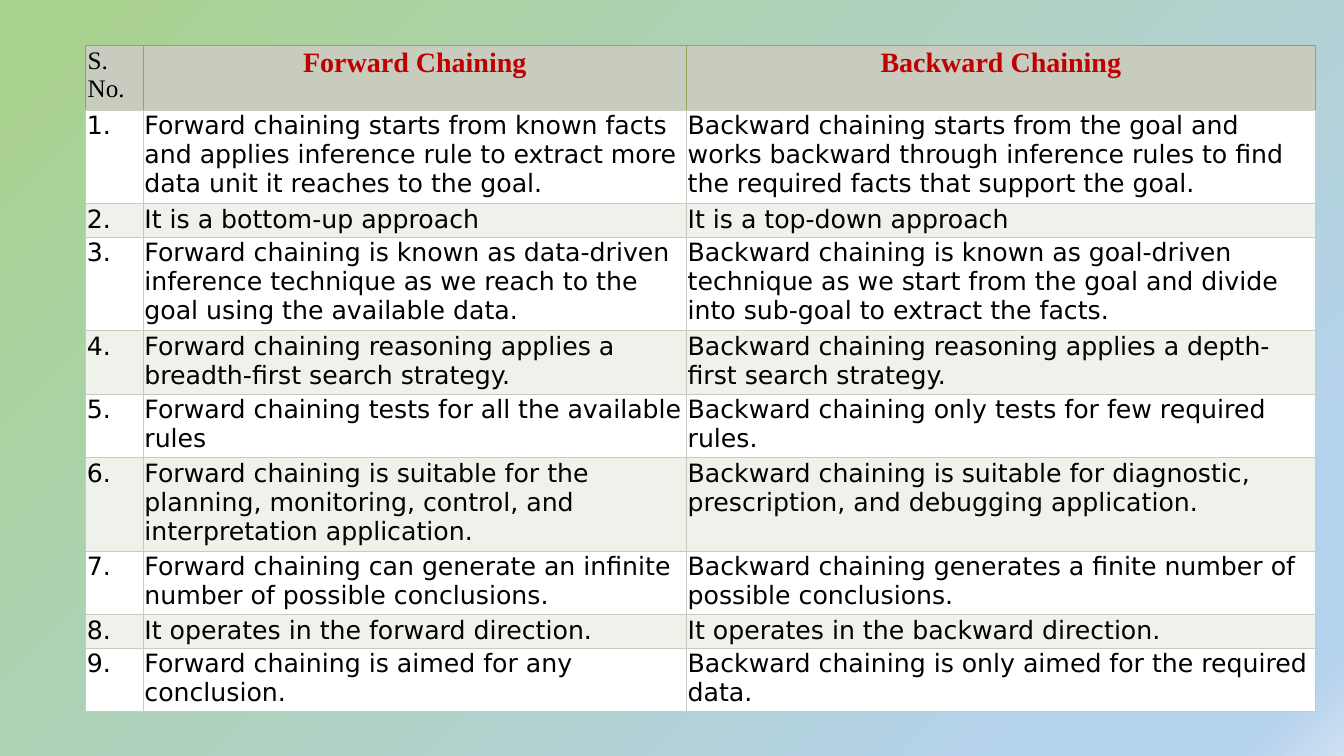
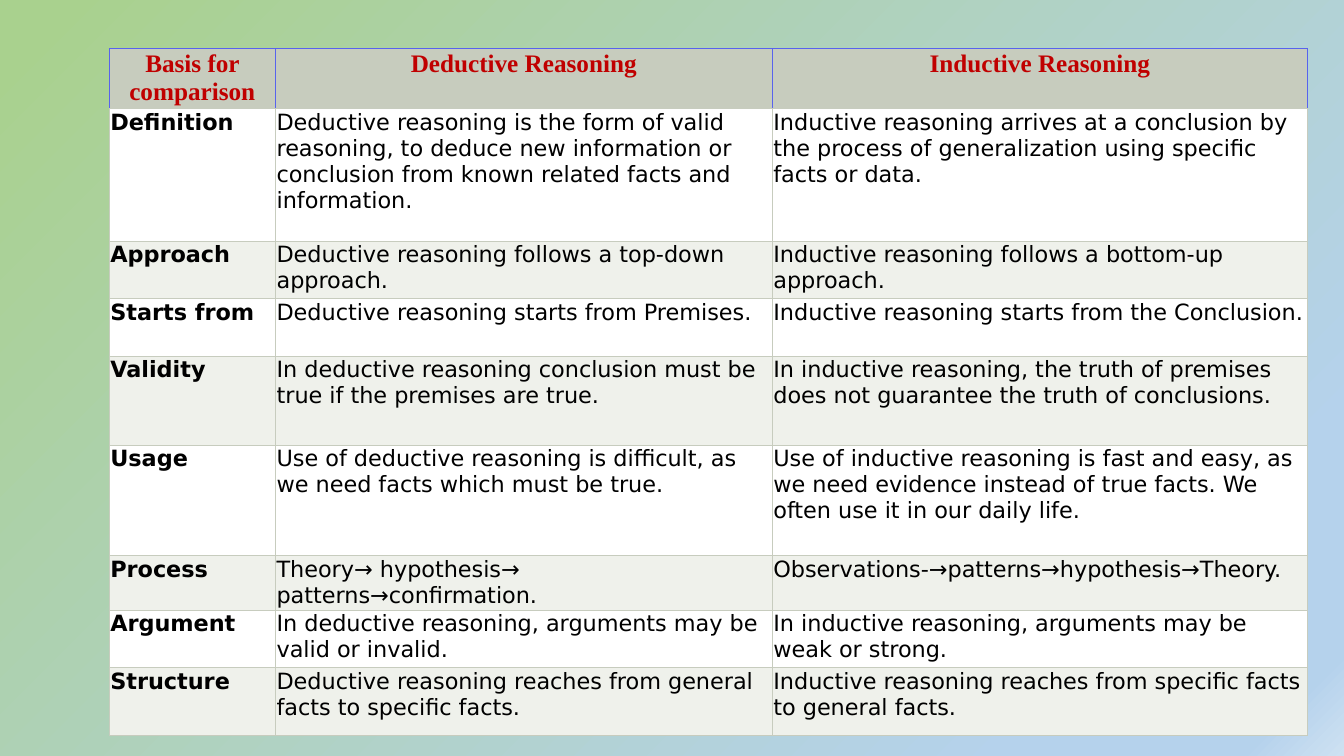
import lxml.etree
import pptx
import pptx.dml.color
import pptx.enum.text
import pptx.oxml.ns
import pptx.util

Cm = pptx.util.Cm
Pt = pptx.util.Pt
qn = pptx.oxml.ns.qn
CENTER = pptx.enum.text.PP_ALIGN.CENTER
LEFT = pptx.enum.text.PP_ALIGN.LEFT

COLORS = {
    "text": "000000",
    "heading": "C00000",
    "header": "C7CCBE",
    "grid": "C7CCBE",
    "odd": "FFFFFF",
    "even": "EFF1EB",
    "green_edge": "90A954",
    "blue_edge": "5863ED",
    "leaf": "A9D18E",
    "sky": "B5D2EC",
    "mist": "CEE1F2",
}
BACKGROUND_STOPS = [(3, "leaf"), (84, "sky"), (95, "sky"), (100, "mist")]
HEADER_FONT = "Times New Roman"
BODY_FONT = "DejaVu Sans"

CHAINING = [
    ("Forward chaining starts from known facts and applies inference rule to extract more data unit it reaches to the goal.",
     "Backward chaining starts from the goal and works backward through inference rules to find the required facts that support the goal."),
    ("It is a bottom-up approach", "It is a top-down approach"),
    ("Forward chaining is known as data-driven inference technique as we reach to the goal using the available data.",
     "Backward chaining is known as goal-driven technique as we start from the goal and divide into sub-goal to extract the facts."),
    ("Forward chaining reasoning applies a breadth-first search strategy.",
     "Backward chaining reasoning applies a depth-first search strategy."),
    ("Forward chaining tests for all the available rules",
     "Backward chaining only tests for few required rules."),
    ("Forward chaining is suitable for the planning, monitoring, control, and interpretation application.",
     "Backward chaining is suitable for diagnostic, prescription, and debugging application."),
    ("Forward chaining can generate an infinite number of possible conclusions.",
     "Backward chaining generates a finite number of possible conclusions."),
    ("It operates in the forward direction.", "It operates in the backward direction."),
    ("Forward chaining is aimed for any conclusion.",
     "Backward chaining is only aimed for the required data."),
]
CHAINING_LINES = [3, 1, 3, 2, 2, 3, 2, 1, 2]

REASONING = [
    ("Definition",
     "Deductive reasoning is the form of valid reasoning, to deduce new information or conclusion from known related facts and information.",
     "Inductive reasoning arrives at a conclusion by the process of generalization using specific facts or data."),
    ("Approach", "Deductive reasoning follows a top-down approach.",
     "Inductive reasoning follows a bottom-up approach."),
    ("Starts from", "Deductive reasoning starts from Premises.",
     "Inductive reasoning starts from the Conclusion."),
    ("Validity", "In deductive reasoning conclusion must be true if the premises are true.",
     "In inductive reasoning, the truth of premises does not guarantee the truth of conclusions."),
    ("Usage", "Use of deductive reasoning is difficult, as we need facts which must be true.",
     "Use of inductive reasoning is fast and easy, as we need evidence instead of true facts. We often use it in our daily life."),
    ("Process", "Theory→ hypothesis→ patterns→confirmation.",
     "Observations-→patterns→hypothesis→Theory."),
    ("Argument", "In deductive reasoning, arguments may be valid or invalid.",
     "In inductive reasoning, arguments may be weak or strong."),
    ("Structure", "Deductive reasoning reaches from general facts to specific facts.",
     "Inductive reasoning reaches from specific facts to general facts."),
]


def rgb(name):
    """Return the named colour."""
    return pptx.dml.color.RGBColor.from_string(COLORS[name])


def set_background(master):
    """Give the slide master the diagonal gradient that every slide shows."""
    fill = master.background.fill
    fill.gradient()
    fill.gradient_angle = 315
    stops = master.element.find(".//" + qn("a:gsLst"))
    for stop in list(stops):
        stops.remove(stop)
    for position, color in BACKGROUND_STOPS:
        stop = lxml.etree.SubElement(stops, qn("a:gs"), pos=str(position * 1000))
        lxml.etree.SubElement(stop, qn("a:srgbClr"), val=COLORS[color])


def write_text(text_frame, text, *, size, font=BODY_FONT, color="text", bold=False, align=LEFT):
    """Write one formatted paragraph."""
    paragraph = text_frame.paragraphs[0]
    paragraph.alignment = align
    run = paragraph.add_run()
    run.text = text
    run.font.size = Pt(size)
    run.font.name = font
    run.font.bold = bold
    run.font.color.rgb = rgb(color)


def set_borders(cell, edge, bottom):
    """Draw thin cell borders, with a separate colour for the bottom."""
    properties = cell._tc.get_or_add_tcPr()
    for index, (side, color) in enumerate(zip("LRTB", (edge, edge, edge, bottom))):
        line = lxml.etree.Element(qn("a:ln" + side), w=str(Pt(0.5)))
        solid = lxml.etree.SubElement(line, qn("a:solidFill"))
        lxml.etree.SubElement(solid, qn("a:srgbClr"), val=COLORS[color])
        properties.insert(index, line)


def style_cell(cell, text, fill, edge, margin, **text_format):
    """Fill one cell, write its text and draw its borders."""
    cell.margin_left = cell.margin_right = cell.margin_top = cell.margin_bottom = Cm(margin)
    cell.fill.solid()
    cell.fill.fore_color.rgb = rgb(fill)
    write_text(cell.text_frame, text, **text_format)
    set_borders(cell, edge, "grid")


def add_comparison(slide, left, top, widths, heights, headers, rows, edge, body_size, bold_labels):
    """Add a comparison table at the given corner; headers pair text with its format."""
    table = slide.shapes.add_table(
        len(heights), len(widths), Cm(left), Cm(top), Cm(sum(widths)), Cm(sum(heights))
    ).table
    table.horz_banding = False
    for column, width in zip(table.columns, widths):
        column.width = Cm(width)
    for row, height in zip(table.rows, heights):
        row.height = Cm(height)
    for column_index, (text, text_format) in enumerate(headers):
        style_cell(table.cell(0, column_index), text, "header", edge, 0.05,
                   font=HEADER_FONT, **text_format)
    for row_index, texts in enumerate(rows, start=1):
        fill = "odd" if row_index % 2 else "even"
        for column_index, text in enumerate(texts):
            style_cell(table.cell(row_index, column_index), text, fill, "grid", 0.03,
                       size=body_size, bold=bold_labels and column_index == 0)


def main():
    """Build both comparison slides."""
    presentation = pptx.Presentation()
    presentation.slide_width = Cm(33.87)
    presentation.slide_height = Cm(19.05)
    set_background(presentation.slide_master)
    blank = presentation.slide_layouts[6]

    heading = {"color": "heading", "bold": True, "align": CENTER}
    large = {"size": 20, **heading}
    medium = {"size": 18, **heading}

    add_comparison(
        presentation.slides.add_slide(blank), 2.16, 1.14,
        widths=[1.45, 13.69, 15.85],
        heights=[1.63] + [0.08 + 0.76 * lines for lines in CHAINING_LINES],
        headers=[("S. No.", {"size": 18}), ("Forward Chaining", large), ("Backward Chaining", large)],
        rows=[(f"{number}.", *texts) for number, texts in enumerate(CHAINING, start=1)],
        edge="green_edge", body_size=18, bold_labels=False,
    )
    add_comparison(
        presentation.slides.add_slide(blank), 2.75, 1.22,
        widths=[4.19, 12.52, 13.49],
        heights=[1.52, 3.33, 1.45, 1.45, 2.24, 2.79, 1.37, 1.45, 1.7],
        headers=[(text, medium) for text in
                 ("Basis for comparison", "Deductive Reasoning", "Inductive Reasoning")],
        rows=REASONING,
        edge="blue_edge", body_size=16, bold_labels=True,
    )
    presentation.save("out.pptx")


if __name__ == "__main__":
    main()
